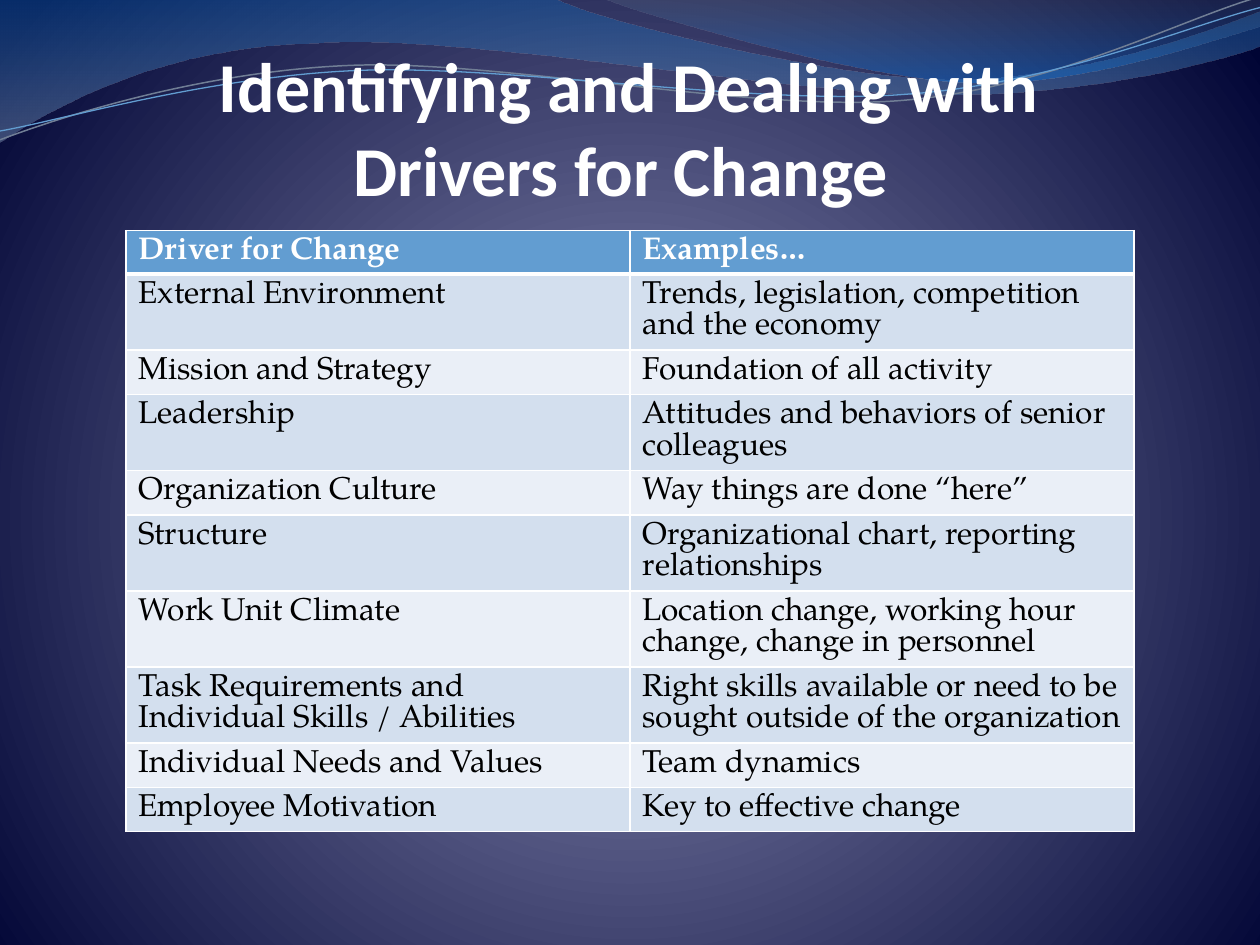
from dataclasses import dataclass

from lxml import etree
from pptx import Presentation
from pptx.dml.color import RGBColor
from pptx.enum.text import MSO_ANCHOR, MSO_AUTO_SIZE, PP_ALIGN
from pptx.oxml import parse_xml
from pptx.oxml.ns import nsdecls, qn
from pptx.util import Inches, Pt

CENTER = PP_ALIGN.CENTER
BOTTOM = MSO_ANCHOR.BOTTOM
NO_AUTOFIT = MSO_AUTO_SIZE.NONE
TITLE_ONLY = 5


@dataclass(frozen=True)
class Theme:
    title_font: str = "Calibri"
    table_font: str = "TeX Gyre Pagella"
    title_size: int = 40
    table_size: int = 18
    white: str = "FFFFFF"
    text: str = "000000"
    accent: str = "629DD1"
    band_dark: str = "D3DFEE"
    band_light: str = "EAEFF7"
    gray_line: str = "707E95"
    # Gradient stops: position, colour, opacity in percent
    background: tuple = ((0, "6E71A1", 100), (25, "696C96", 100), (100, "000434", 100))
    left_wave: tuple = ((0, "125EAA", 45), (100, "697FA4", 55))
    right_wave: tuple = ((0, "596982", 30), (100, "0670DA", 45))


# Outlines in inches: a pair is a straight step, six numbers are a cubic curve
LEFT_WAVE = [
    (0, 0), (4.4, -0.01), (4.76, 0.17, 6.64, 0.63, 7.58, 0.63),
    (8.53, 0.63, 9.58, 0.26, 10, 0.09), (10.01, 0.36),
    (9.83, 0.44, 8.7, 0.76, 7.46, 0.75), (6.22, 0.75, 3.82, 0.28, 2.57, 0.34),
    (1.29, 0.36, 0.46, 0.83, -0.01, 1.13),
]
RIGHT_WAVE = [
    (4.79, -0.01), (5.09, 0.11, 6.82, 0.62, 7.69, 0.65),
    (8.56, 0.69, 9.61, 0.32, 10, 0.21), (10, 0),
]
GRAY_STRAND = [
    (0, 1.11), (0.48, 0.93, 1.58, 0.57, 2.77, 0.52),
    (3.95, 0.47, 5.93, 0.89, 7.13, 0.8), (8.33, 0.71, 9.38, 0.15, 9.98, -0.02),
]
BLUE_STRAND = [
    (0, 1.04), (0.47, 0.96, 1.64, 0.61, 2.83, 0.56),
    (4.03, 0.51, 5.97, 0.84, 7.17, 0.75), (8.36, 0.67, 9.41, 0.21, 10, 0.06),
]
DRIVERS = [
    ("Driver for Change", "Examples…"),
    ("External Environment", "Trends, legislation, competition and the economy"),
    ("Mission and Strategy", "Foundation of all activity"),
    ("Leadership", "Attitudes and behaviors of senior colleagues"),
    ("Organization Culture", "Way things are done “here”"),
    ("Structure", "Organizational chart, reporting relationships"),
    ("Work Unit Climate", "Location change, working hour change, change in personnel"),
    ("Task Requirements and Individual Skills / Abilities",
     "Right skills available or need to be sought outside of the organization"),
    ("Individual Needs and Values", "Team dynamics"),
    ("Employee Motivation", "Key to effective change"),
]


def gradient_xml(stops, direction):
    stop_xml = "".join(
        f'<a:gs pos="{position * 1000}"><a:srgbClr val="{color}">'
        f'<a:alpha val="{opacity * 1000}"/></a:srgbClr></a:gs>'
        for position, color, opacity in stops)
    return (f'<a:gradFill {nsdecls("a")} rotWithShape="1">'
            f"<a:gsLst>{stop_xml}</a:gsLst>{direction}</a:gradFill>")


class SlideBuilder:
    def __init__(self, slide, theme):
        self.slide = slide
        self.theme = theme

    def background(self, stops):
        direction = ('<a:path path="circle"><a:fillToRect l="10000" t="110000" '
                     'r="10000" b="100000"/></a:path>')
        self.slide.background.fill.solid()
        properties = self.slide.element.cSld.find(qn("p:bg")).find(qn("p:bgPr"))
        properties.replace(properties[0], parse_xml(gradient_xml(stops, direction)))

    def outline(self, shapes, steps, closed):
        """Draw a freeform, then merge each curve's three segments into one cubic."""
        start, *points = [(Inches(step[i]), Inches(step[i + 1]))
                          for step in steps for i in range(0, len(step), 2)]
        builder = shapes.build_freeform(*start)
        builder.add_line_segments(points, close=closed)
        shape = builder.convert_to_shape()
        shape.shadow.inherit = False
        segments = iter(list(shape.element.spPr.iter(qn("a:lnTo"))))
        for step in steps[1:]:
            segment = next(segments)
            if len(step) == 6:
                curve = etree.Element(qn("a:cubicBezTo"))
                segment.addprevious(curve)
                for part in (segment, next(segments), next(segments)):
                    curve.append(part[0])
                    part.getparent().remove(part)
        return shape

    def wave(self, steps, stops):
        shape = self.outline(self.slide.shapes, steps, closed=True)
        shape.line.fill.background()
        direction = '<a:lin ang="5400000" scaled="0"/>'
        geometry = shape.element.spPr.find(qn("a:custGeom"))
        geometry.addnext(parse_xml(gradient_xml(stops, direction)))

    def strand(self, group, steps, color, width):
        shape = self.outline(group.shapes, steps, closed=False)
        shape.fill.background()
        shape.line.color.rgb = RGBColor.from_string(color)
        shape.line.width = Pt(width)

    def run(self, paragraph, text, font, size, color, bold):
        run = paragraph.add_run()
        run.text = text
        run.font.name = font
        run.font.size = Pt(size)
        run.font.bold = bold
        run.font.color.rgb = RGBColor.from_string(color)

    def title(self, text, left, top, width, height):
        title = self.slide.shapes.title
        title.left, title.top = Inches(left), Inches(top)
        title.width, title.height = Inches(width), Inches(height)
        frame = title.text_frame
        frame.auto_size = NO_AUTOFIT
        frame.word_wrap = True
        frame.vertical_anchor = BOTTOM
        frame.margin_left = frame.margin_top = frame.margin_bottom = 0
        frame.margin_right = Inches(0.02)
        paragraph = frame.paragraphs[0]
        paragraph.alignment = CENTER
        self.run(paragraph, text, self.theme.title_font, self.theme.title_size,
                 self.theme.white, True)
        # Bring the title in front of the waves
        self.slide.shapes.element.append(title.element)

    def borders(self, cell, bottom_width):
        properties = cell._tc.get_or_add_tcPr()
        for side, width in (("L", 1), ("R", 1), ("T", 1), ("B", bottom_width)):
            line = etree.SubElement(properties, qn(f"a:ln{side}"), w=str(Pt(width)))
            fill = etree.SubElement(line, qn("a:solidFill"))
            etree.SubElement(fill, qn("a:srgbClr"), val=self.theme.white)

    def table(self, rows, left, top, width, row_height):
        theme = self.theme
        table = self.slide.shapes.add_table(
            len(rows), len(rows[0]), Inches(left), Inches(top), Inches(width),
            Inches(row_height * len(rows))).table
        for row_index, row in enumerate(rows):
            header = row_index == 0
            band = theme.band_dark if row_index % 2 else theme.band_light
            for column_index, text in enumerate(row):
                cell = table.cell(row_index, column_index)
                self.borders(cell, 3 if header else 1)
                cell.fill.solid()
                cell.fill.fore_color.rgb = RGBColor.from_string(theme.accent if header else band)
                self.run(cell.text_frame.paragraphs[0], text, theme.table_font,
                         theme.table_size, theme.white if header else theme.text, header)


def main():
    theme = Theme()
    presentation = Presentation()
    presentation.slide_width, presentation.slide_height = Inches(10), Inches(7.5)
    slide = presentation.slides.add_slide(presentation.slide_layouts[TITLE_ONLY])
    builder = SlideBuilder(slide, theme)
    builder.background(theme.background)
    builder.wave(LEFT_WAVE, theme.left_wave)
    builder.wave(RIGHT_WAVE, theme.right_wave)
    strands = slide.shapes.add_group_shape()
    builder.strand(strands, GRAY_STRAND, theme.gray_line, 0.85)
    builder.strand(strands, BLUE_STRAND, theme.accent, 0.75)
    builder.title("Identifying and Dealing with Drivers for Change ", 1, 0.42, 8, 1.25)
    builder.table(DRIVERS, left=1, top=1.83, width=8, row_height=0.3)
    presentation.save("out.pptx")


if __name__ == "__main__":
    main()
